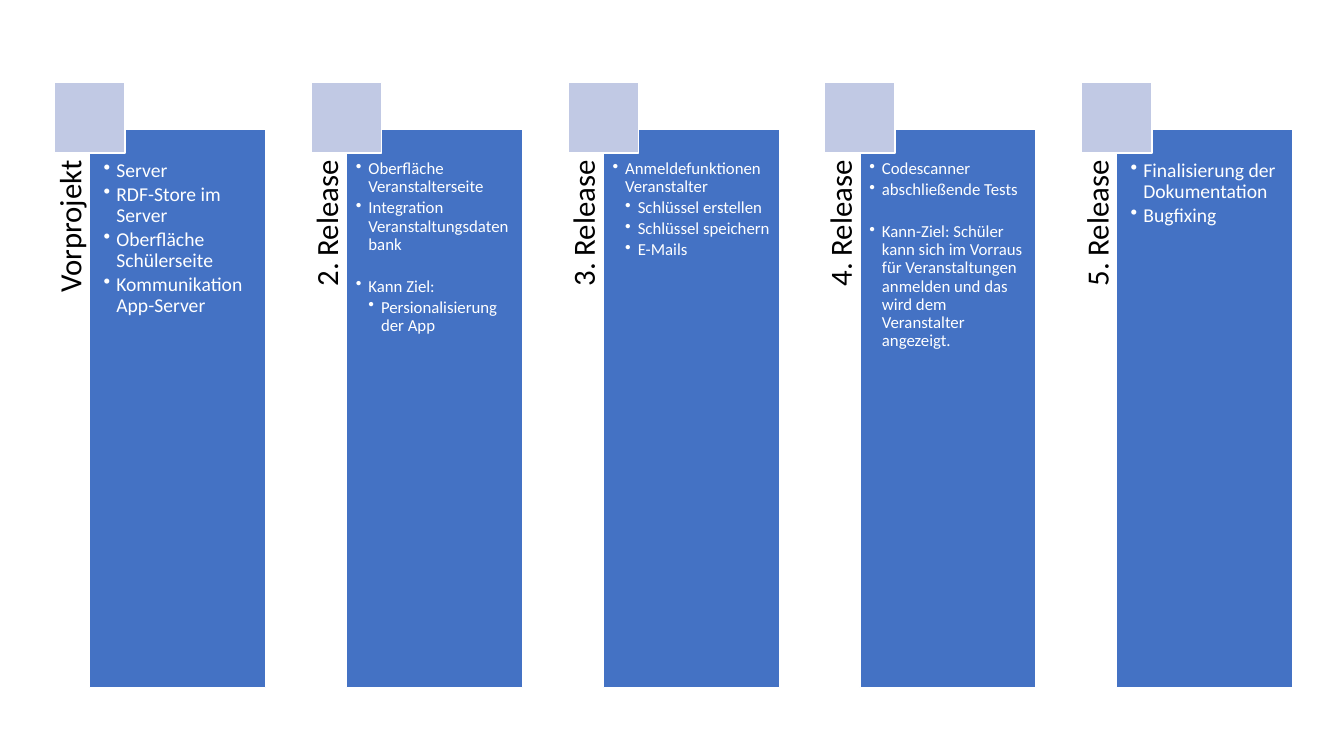
import pptx
import pptx.dml.color
import pptx.enum.text
import pptx.oxml
import pptx.oxml.ns
import pptx.util

Pt = pptx.util.Pt
FONT = "Calibri"
BLUE, LILAC, WHITE, BLACK = "4472C4", "C1C9E4", "FFFFFF", "000000"
PITCH = 183.4
BODY_LEFT, BODY_TOP, BODY_W, BODY_H = 64.1, 92.2, 125.8, 399
SQUARE_LEFT, SQUARE_TOP, SQUARE_SIZE = 38.8, 59, 50.4
TITLE_MID, TITLE_H = 51.8, 25.2
TOP_INSET = 22.3
GAP = 15

# Title, text size, side inset, and items as (text, level, extra space before)
RELEASES = [
    ("Vorprojekt", 14, 10, [
        ("Server", 1, 0),
        ("RDF-Store im Server", 1, 0),
        ("Oberfläche Schülerseite", 1, 0),
        ("Kommunikation App-Server", 1, 0)]),
    ("2. Release", 12, 6.7, [
        ("Oberfläche Veranstalterseite", 1, 0),
        ("Integration Veranstaltungsdatenbank", 1, 0),
        ("Kann Ziel:", 1, GAP),
        ("Persionalisierung der App", 2, 0)]),
    ("3. Release", 12, 6.7, [
        ("Anmeldefunktionen Veranstalter", 1, 0),
        ("Schlüssel erstellen", 2, 0),
        ("Schlüssel speichern", 2, 0),
        ("E-Mails", 2, 0)]),
    ("4. Release", 12, 6.7, [
        ("Codescanner", 1, 0),
        ("abschließende Tests", 1, 0),
        ("Kann-Ziel: Schüler kann sich im Vorraus für Veranstaltungen "
         "anmelden und das wird dem Veranstalter angezeigt.", 1, GAP)]),
    ("5. Release", 14, 10, [
        ("Finalisierung der Dokumentation", 1, 0),
        ("Bugfixing", 1, 0)]),
]


def rgb(color):
    """Turn a hex string into a colour."""
    return pptx.dml.color.RGBColor.from_string(color)


def set_frame(tf, left, top, right, bottom):
    """Wrap the text from the top, with the given insets."""
    tf.word_wrap = True
    tf.vertical_anchor = pptx.enum.text.MSO_ANCHOR.TOP
    tf.margin_left, tf.margin_top = Pt(left), Pt(top)
    tf.margin_right, tf.margin_bottom = Pt(right), Pt(bottom)


def add_run(p, text, size, color):
    """Add one run of text to a paragraph."""
    r = p.add_run()
    r.text = text
    r.font.name, r.font.size = FONT, Pt(size)
    r.font.color.rgb = rgb(color)


def add_box(s, left, top, width, height, fill):
    """Add a filled rectangle with a thin white outline."""
    sp = s.shapes.add_shape(pptx.enum.shapes.MSO_SHAPE.RECTANGLE,
                            Pt(left), Pt(top), Pt(width), Pt(height))
    sp.shadow.inherit = False
    sp.fill.solid()
    sp.fill.fore_color.rgb = rgb(fill)
    sp.line.color.rgb = rgb(WHITE)
    sp.line.width = Pt(1)
    return sp


def add_title(s, mid, text):
    """Add a title that reads upwards, centred on mid and ending at the top."""
    top = BODY_TOP + (BODY_H - TITLE_H) / 2
    sp = s.shapes.add_textbox(Pt(mid - BODY_H / 2), Pt(top), Pt(BODY_H), Pt(TITLE_H))
    sp.rotation = 270
    set_frame(sp.text_frame, 0, 0, TOP_INSET, 0)
    p = sp.text_frame.paragraphs[0]
    p.alignment = pptx.enum.text.PP_ALIGN.RIGHT
    p.line_spacing = 0.9
    add_run(p, text, 22, BLACK)


def set_bullet(p, level):
    """Give a paragraph a round bullet and the indent of its level."""
    p.level = level
    pPr = p._p.get_or_add_pPr()
    pPr.set("marL", str(Pt(9 * level)))
    pPr.set("indent", str(-Pt(9)))
    bullet = pptx.oxml.parse_xml(
        "<a:buChar %s char='•'/>" % pptx.oxml.ns.nsdecls("a"))
    pPr.append(bullet)


def add_items(tf, items, size):
    """Fill a text frame with bulleted items."""
    for i, (text, level, before) in enumerate(items):
        p = tf.add_paragraph() if i else tf.paragraphs[0]
        p.alignment = pptx.enum.text.PP_ALIGN.LEFT
        p.line_spacing = 0.9
        p.space_before, p.space_after = Pt(before), Pt(2)
        set_bullet(p, level)
        add_run(p, text, size, WHITE)


def add_release(s, x, title, size, inset, items):
    """Add one release column, shifted right by x."""
    add_title(s, TITLE_MID + x, title)
    body = add_box(s, BODY_LEFT + x, BODY_TOP, BODY_W, BODY_H, BLUE)
    set_frame(body.text_frame, inset, TOP_INSET, inset, inset)
    add_items(body.text_frame, items, size)
    add_box(s, SQUARE_LEFT + x, SQUARE_TOP, SQUARE_SIZE, SQUARE_SIZE, LILAC)


def main():
    """Build the release plan and save it."""
    prs = pptx.Presentation()
    prs.slide_width, prs.slide_height = Pt(960), Pt(540)
    s = prs.slides.add_slide(prs.slide_layouts[6])
    for i, release in enumerate(RELEASES):
        add_release(s, i * PITCH, *release)
    prs.save("out.pptx")


main()
